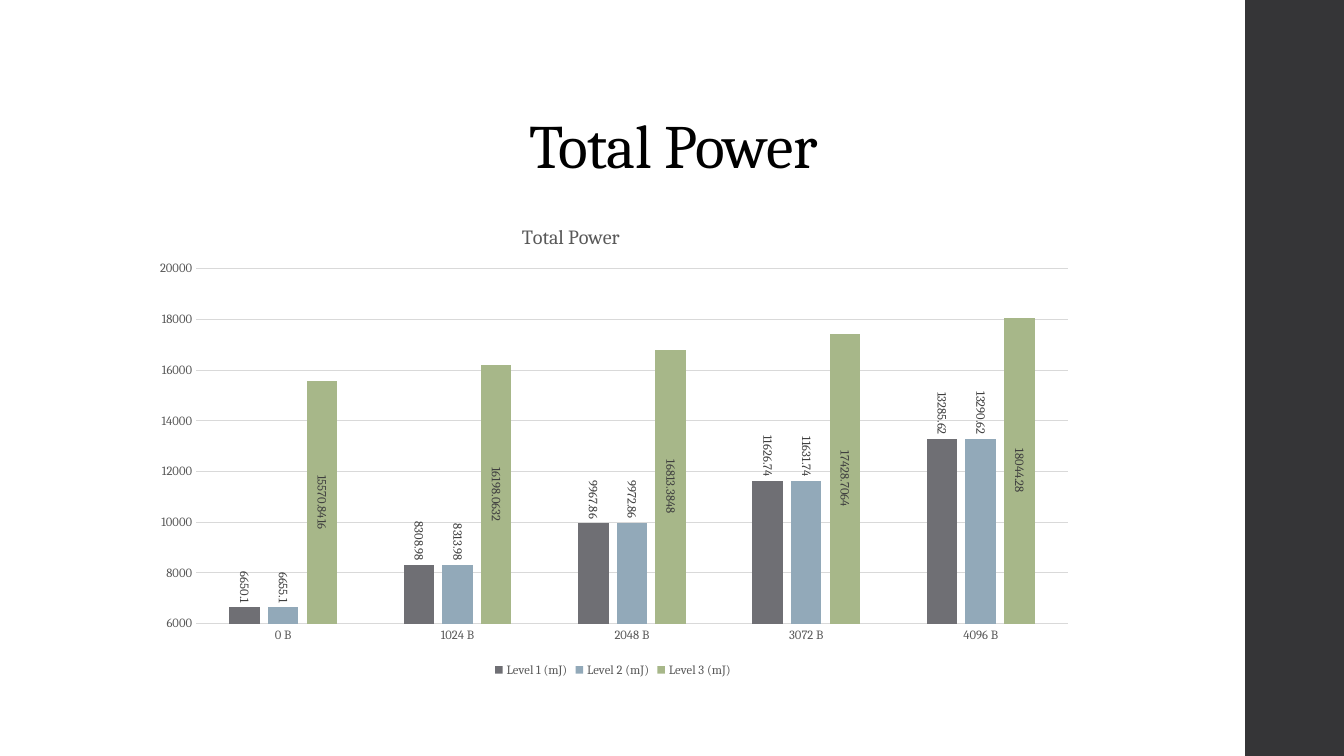
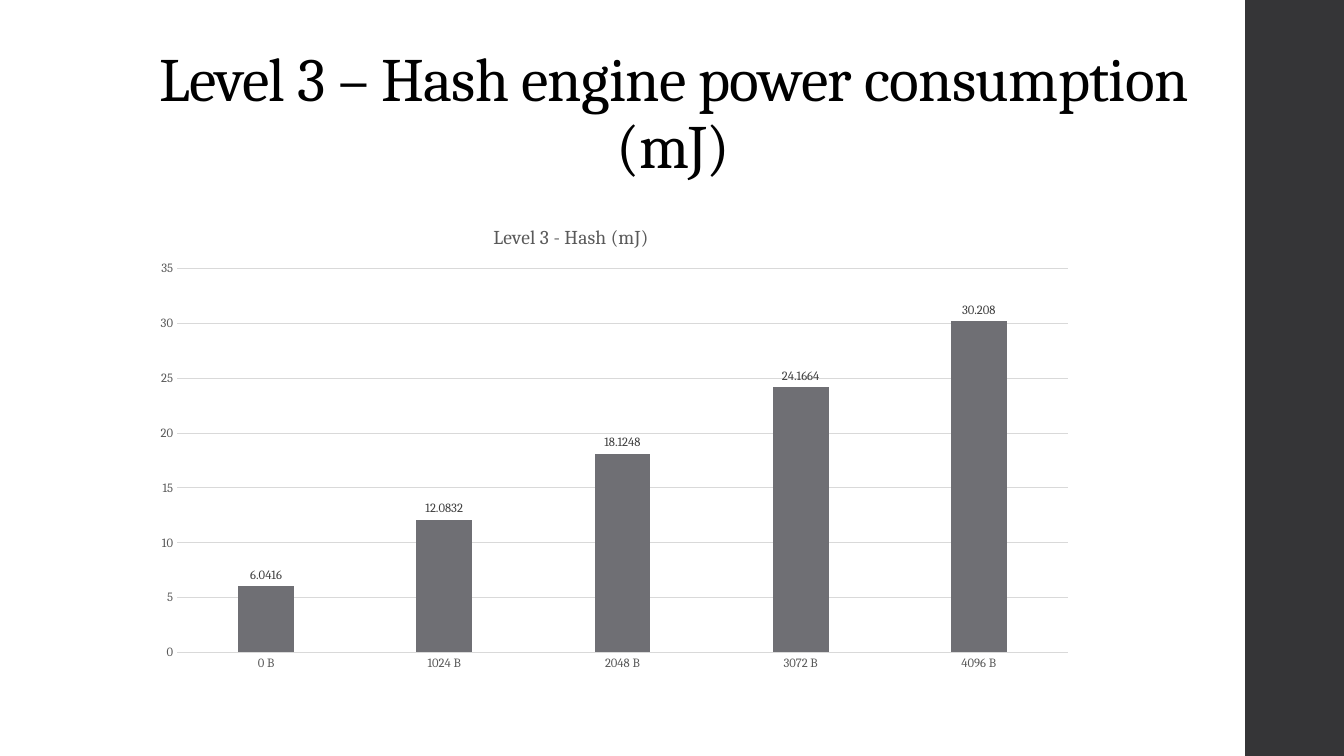
from lxml.etree import SubElement
from pptx import Presentation
from pptx.chart.data import CategoryChartData
from pptx.dml.color import RGBColor
from pptx.enum.chart import XL_CHART_TYPE, XL_LABEL_POSITION, XL_LEGEND_POSITION, XL_TICK_MARK
from pptx.enum.shapes import MSO_SHAPE
from pptx.enum.text import MSO_ANCHOR, MSO_AUTO_SIZE
from pptx.oxml import parse_xml
from pptx.oxml.ns import nsdecls, qn
from pptx.util import Inches, Pt

FONT = "Cambria"
COLORS = {"band": "353537", "title": "000000", "text": "595959", "label": "404040",
          "grid": "D9D9D9", "gray": "6F6F74", "blue": "92A9B9", "green": "A7B789"}
WIDE, HIGH = 13.33, 7.5
BAND = (12.35, 0, 1, HIGH)
HEAD = (1.38, 0.4, 10.6, 1.45)
BODY = (1.38, 2, 9.4, 4.76)
SIZES = ["0 B", "1024 B", "2048 B", "3072 B", "4096 B"]
OUT, MID = XL_LABEL_POSITION.OUTSIDE_END, XL_LABEL_POSITION.CENTER

# Each series: name, values, colour, label position
POWER = [
    ("Level 1 (mJ)", [6650.1, 8308.98, 9967.86, 11626.74, 13285.62], "gray", OUT),
    ("Level 2 (mJ)", [6655.1, 8313.98, 9972.86, 11631.74, 13290.62], "blue", OUT),
    ("Level 3 (mJ)", [15570.8416, 16198.0632, 16813.3848, 17428.7064, 18044.28], "green", MID),
]
HASH = [("Level 3 - Hash (mJ)", [6.0416, 12.0832, 18.1248, 24.1664, 30.208], "gray", OUT)]


def color(name):
    return RGBColor.from_string(COLORS[name])


def inches(box):
    return [Inches(n) for n in box]


def style(font, size, name):
    font.name, font.size, font.bold = FONT, Pt(size), False
    font.color.rgb = color(name)


def set_title(master, layout):
    """Give every title its place and its type style."""
    rule = master.element.find(".//" + qn("p:titleStyle") + "/" + qn("a:lvl1pPr"))
    rule.set("algn", "ctr")
    for old in list(rule):
        rule.remove(old)
    space = SubElement(rule, qn("a:lnSpc"))
    SubElement(space, qn("a:spcPct"), val="90000")
    SubElement(rule, qn("a:buNone"))
    face = SubElement(rule, qn("a:defRPr"), sz="4400", spc="-50")
    fill = SubElement(face, qn("a:solidFill"))
    SubElement(fill, qn("a:srgbClr"), val=COLORS["title"])
    SubElement(face, qn("a:latin"), typeface=FONT)
    title = layout.placeholders[0]
    title.left, title.top, title.width, title.height = inches(HEAD)
    title.text_frame.vertical_anchor = MSO_ANCHOR.BOTTOM
    title.text_frame.auto_size = MSO_AUTO_SIZE.NONE


def add_band(master, slide):
    """Draw the side band and move it to the master."""
    band = slide.shapes.add_shape(MSO_SHAPE.RECTANGLE, *inches(BAND))
    band.shadow.inherit = False
    band.fill.solid()
    band.fill.fore_color.rgb = color("band")
    band.line.fill.background()
    master.shapes.element.insert(2, band.element)


def place(parent, index, **shares):
    """Fix a chart part at shares of the chart's size."""
    for old in parent.findall(qn("c:layout")):
        parent.remove(old)
    layout = parse_xml(f"<c:layout {nsdecls('c')}><c:manualLayout/></c:layout>")
    if "w" in shares:
        SubElement(layout[0], qn("c:layoutTarget"), val="inner")
    for key in ("xMode", "yMode"):
        SubElement(layout[0], qn("c:" + key), val="edge")
    for key, share in shares.items():
        SubElement(layout[0], qn("c:" + key), val=str(share))
    parent.insert(index, layout)


def set_axes(chart, low):
    for axis in (chart.category_axis, chart.value_axis):
        axis.major_tick_mark = axis.minor_tick_mark = XL_TICK_MARK.NONE
        style(axis.tick_labels.font, 9, "text")
    chart.value_axis.minimum_scale = low
    chart.value_axis.format.line.fill.background()
    for line in (chart.category_axis.format.line, chart.value_axis.major_gridlines.format.line):
        line.color.rgb = color("grid")
        line.width = Pt(0.75)


def set_bars(chart, rows, turn):
    plot = chart.plots[0]
    plot.gap_width, plot.overlap, plot.vary_by_categories = 219, -27, False
    for bars, (_, _, hue, spot) in zip(plot.series, rows):
        bars.format.fill.solid()
        bars.format.fill.fore_color.rgb = color(hue)
        bars.invert_if_negative = False
        labels = bars.data_labels
        labels.show_value, labels.position = True, spot
        style(labels.font, 9, "label")
    for body in chart.element.xpath(".//c:dLbls//a:bodyPr"):
        body.set("rot", str(turn * 60000))
        body.set("vert", "horz")


def add_bars(slide, box, name, rows, low, spot, area, size=14, turn=0, legend=False):
    data = CategoryChartData()
    data.categories = SIZES
    for label, values, _, _ in rows:
        data.add_series(label, values)
    chart = slide.shapes.add_chart(XL_CHART_TYPE.COLUMN_CLUSTERED, *inches(box), data).chart
    style(chart.font, 10, "title")
    title = chart.chart_title
    title.text_frame.text = name
    style(title.text_frame.paragraphs[0].runs[0].font, size, "text")
    place(title.element, 1, **dict(zip("xy", spot)))
    place(chart.element.xpath(".//c:plotArea")[0], 0, **dict(zip("xywh", area)))
    set_axes(chart, low)
    set_bars(chart, rows, turn)
    chart.has_legend = legend
    if legend:
        chart.legend.position = XL_LEGEND_POSITION.BOTTOM
        chart.legend.include_in_layout = False
        style(chart.legend.font, 9, "text")


def add_page(deck, layout, title):
    slide = deck.slides.add_slide(layout)
    slide.shapes.title.text_frame.text = title
    return slide


def main():
    deck = Presentation()
    deck.slide_width, deck.slide_height = Inches(WIDE), Inches(HIGH)
    master, layout = deck.slide_master, deck.slide_layouts[5]
    set_title(master, layout)

    power = add_page(deck, layout, "Total Power")
    add_band(master, power)
    add_bars(power, BODY, "Total Power", POWER, 6000, (0.4, 0.04),
             (0.06, 0.14, 0.92, 0.74), size=14.4, turn=90, legend=True)

    engine = add_page(deck, layout, "Level 3 – Hash engine power consumption (mJ)")
    add_bars(engine, BODY, "Level 3 - Hash (mJ)", HASH, 0, (0.37, 0.04),
             (0.04, 0.14, 0.94, 0.8))
    deck.save("out.pptx")


if __name__ == "__main__":
    main()
